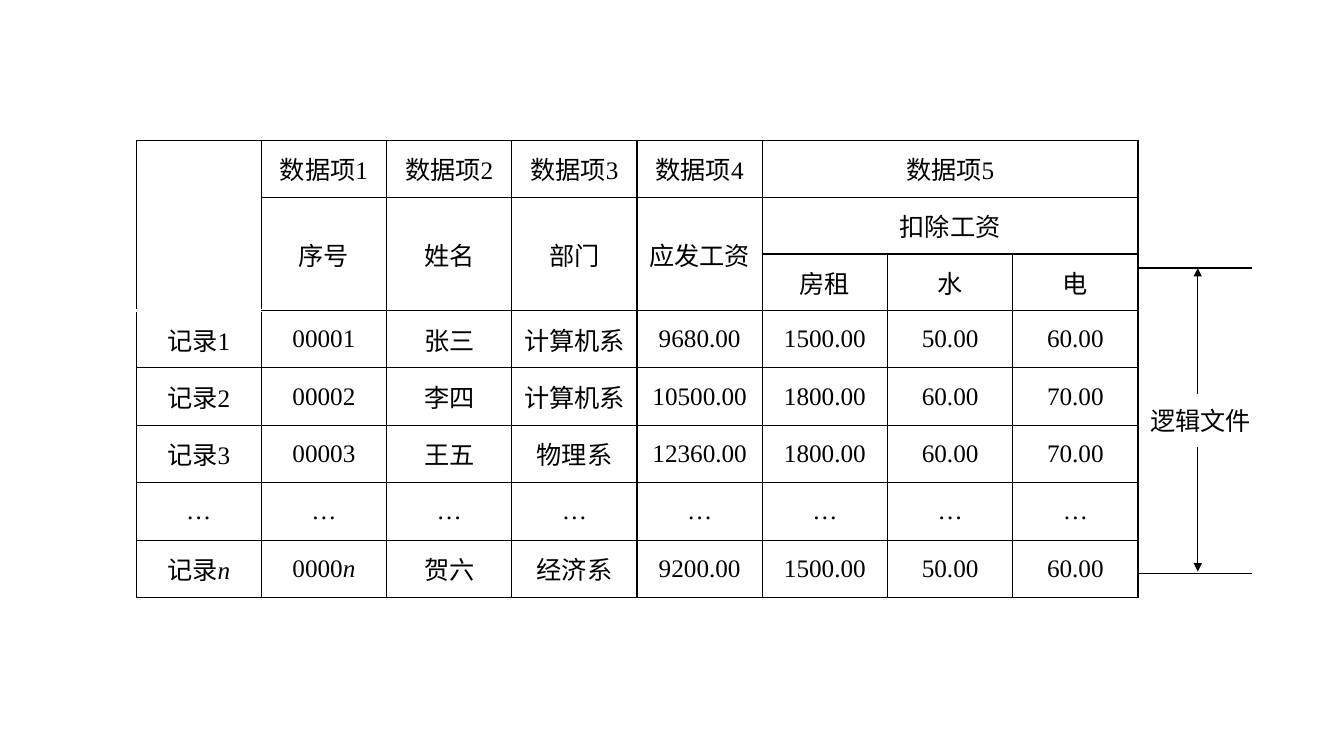
from lxml import etree
from pptx import Presentation
from pptx.dml.color import RGBColor
from pptx.enum import shapes, text
from pptx.oxml import ns
from pptx.util import Inches, Pt

LATIN, CJK = "Times New Roman", "Noto Sans CJK SC"
BLACK, WHITE = "000000", "FFFFFF"

ROWS = [
    ["", "数据项1", "数据项2", "数据项3", "数据项4", "数据项5", "", ""],
    ["", "序号", "姓名", "部门", "应发工资", "扣除工资", "", ""],
    ["", "", "", "", "", "房租", "水", "电"],
    ["记录1", "00001", "张三", "计算机系", "9680.00", "1500.00", "50.00", "60.00"],
    ["记录2", "00002", "李四", "计算机系", "10500.00", "1800.00", "60.00", "70.00"],
    ["记录3", "00003", "王五", "物理系", "12360.00", "1800.00", "60.00", "70.00"],
    ["…"] * 8,
    ["记录n", "0000n", "贺六", "经济系", "9200.00", "1500.00", "50.00", "60.00"],
]
# First and last cell of each merged block, as (row, column)
MERGES = [((0, 0), (2, 0)), ((0, 5), (0, 7)), ((1, 5), (1, 7))]
MERGES += [((1, col), (2, col)) for col in range(1, 5)]
ROW_HEIGHTS = [0.57, 0.56, 0.56] + [0.57] * 5


def rgb(color):
    return RGBColor.from_string(color)


def child(parent, tag, **attributes):
    return etree.SubElement(parent, ns.qn(tag), attributes)


def add_run(paragraph, words, latin, italic=False):
    run = paragraph.add_run()
    run.text = words
    run.font.size = Pt(18)
    run.font.name = latin
    run.font.italic = italic
    run.font.color.rgb = rgb(BLACK)
    child(run.font._element, "a:ea", typeface=CJK)


def set_border(cell, side, color, points):
    edge = child(cell._tc.get_or_add_tcPr(), f"a:ln{side}", w=str(Pt(points)))
    child(child(edge, "a:solidFill"), "a:srgbClr", val=color)


def fill_cell(cell, words, open_sides):
    """Write one cell; a lone n is an italic variable, open sides hide their border."""
    for side in "LRTB":
        hidden = side in open_sides
        set_border(cell, side, WHITE if hidden else BLACK, 3 if hidden else 1)
    cell.fill.background()
    cell.vertical_anchor = text.MSO_ANCHOR.MIDDLE
    paragraph = cell.text_frame.paragraphs[0]
    paragraph.alignment = text.PP_ALIGN.CENTER
    label, variable, _ = words.partition("n")
    if label:
        add_run(paragraph, label, LATIN)
    if variable:
        add_run(paragraph, variable, LATIN, italic=True)


def add_payroll_table(slide, left, top, width, height):
    frame = slide.shapes.add_table(len(ROWS), len(ROWS[0]), Inches(left), Inches(top),
                                   Inches(width), Inches(height))
    payroll = frame.table
    payroll.first_row = payroll.horz_banding = False
    for column in payroll.columns:
        column.width = Inches(width / len(ROWS[0]))
    for row, row_height in zip(payroll.rows, ROW_HEIGHTS):
        row.height = Inches(row_height)
    for first, last in MERGES:
        payroll.cell(*first).merge(payroll.cell(*last))
    corner_sides = {(0, 0): "B", (1, 0): "TB", (2, 0): "TB", (3, 0): "T"}
    for r, row in enumerate(ROWS):
        for c, words in enumerate(row):
            fill_cell(payroll.cell(r, c), words, corner_sides.get((r, c), ""))


def add_line(slide, start, end, arrow=False):
    line = slide.shapes.add_connector(shapes.MSO_CONNECTOR.STRAIGHT,
                                      *map(Inches, start + end))
    line.line.color.rgb = rgb(BLACK)
    line.line.width = Pt(1)
    if arrow:
        child(line.line._get_or_add_ln(), "a:tailEnd", type="triangle")
    child(line._element.spPr, "a:effectLst")


def add_file_extent(slide, left, top, width, height):
    """Dimension mark beside the table: two end lines, two arrows and a label."""
    bottom, middle = top + height, left + 0.6
    for y in (top, bottom):
        add_line(slide, (left, y), (left + width, y))
    add_line(slide, (middle, top + 1.25), (middle, top), arrow=True)
    add_line(slide, (middle, top + 1.77), (middle, bottom - 0.02), arrow=True)
    label = slide.shapes.add_textbox(Inches(left + 0.03), Inches(top + 1.31),
                                     Inches(1.29), Inches(0.4))
    label.text_frame.word_wrap = True
    label.text_frame.auto_size = text.MSO_AUTO_SIZE.SHAPE_TO_FIT_TEXT
    add_run(label.text_frame.paragraphs[0], "逻辑文件", CJK)


def main():
    deck = Presentation()
    deck.slide_width, deck.slide_height = Inches(13.33), Inches(7.5)
    slide = deck.slides.add_slide(deck.slide_layouts[6])
    add_payroll_table(slide, 1.35, 1.39, 9.94, sum(ROW_HEIGHTS))
    add_file_extent(slide, 11.28, 2.66, 1.14, 3.03)
    deck.save("out.pptx")


if __name__ == "__main__":
    main()
